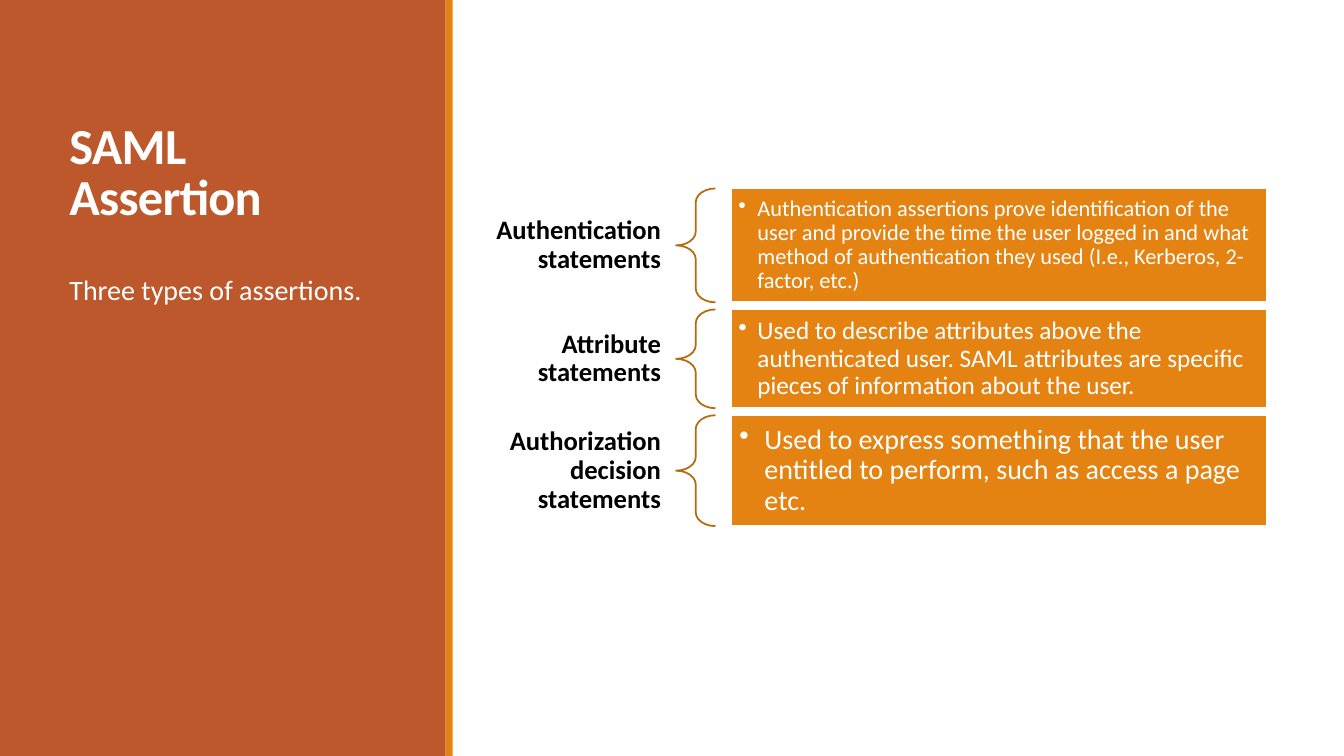
from dataclasses import dataclass

from lxml import etree
from pptx import Presentation
from pptx.dml.color import RGBColor
from pptx.enum.shapes import MSO_SHAPE
from pptx.enum.text import MSO_ANCHOR, PP_ALIGN
from pptx.oxml.ns import qn
from pptx.util import Inches, Pt

RECTANGLE, LEFT_BRACE = MSO_SHAPE.RECTANGLE, MSO_SHAPE.LEFT_BRACE
TOP, MIDDLE = MSO_ANCHOR.TOP, MSO_ANCHOR.MIDDLE
LEFT, RIGHT, JUSTIFY = PP_ALIGN.LEFT, PP_ALIGN.RIGHT, PP_ALIGN.JUSTIFY


@dataclass(frozen=True)
class Theme:
    rust: str = "BD582C"
    orange: str = "E48312"
    brace: str = "B7690E"
    white: str = "FFFFFF"
    black: str = "000000"
    font: str = "Calibri"
    title_size: int = 36
    subtitle_size: int = 20
    label_size: int = 19
    outline: float = 1.25


THEME = Theme()
WIDTH, HEIGHT = 13.33, 7.5
SIDEBAR = (0, 0, 4.49, HEIGHT)
ASSERTIONS = (4.75, 1.87, 7.82, 3.35)
STRIPE_WIDTH = 0.07
ROW_GAP = 0.07
LABEL_SHARE, BRACE_SHARE, DETAIL_SHARE = 0.25, 0.05, 0.68

STATEMENTS = [
    ("Authentication statements",
     "Authentication assertions prove identification of the user and provide "
     "the time the user logged in and what method of authentication they used "
     "(I.e., Kerberos, 2-factor, etc.)", 1.13, 16, 0.07, 0.19),
    ("Attribute statements",
     "Used to describe attributes above the authenticated user. SAML attributes "
     "are specific pieces of information about the user.", 0.98, 18, 0.07, 0.19),
    ("Authorization decision statements",
     "Used to express something that the user entitled to perform, such as "
     "access a page etc.", 1.1, 20, 0.08, 0.25),
]


def add_panel(page, kind, box, fill=None, line=None):
    panel = page.shapes.add_shape(kind, *map(Inches, box))
    panel.shadow.inherit = False
    if fill:
        panel.fill.solid()
        panel.fill.fore_color.rgb = RGBColor.from_string(fill)
    else:
        panel.fill.background()
    if line:
        panel.line.color.rgb = RGBColor.from_string(line)
        panel.line.width = Pt(THEME.outline)
    else:
        panel.line.fill.background()
    return panel


def write(shape, text, size, color, bold=False, align=LEFT, anchor=MIDDLE,
          spacing=1.0, insets=(0.1, 0.05)):
    frame = shape.text_frame
    frame.word_wrap = True
    frame.vertical_anchor = anchor
    frame.margin_left = frame.margin_right = Inches(insets[0])
    frame.margin_top = frame.margin_bottom = Inches(insets[1])
    frame.text = text
    para = frame.paragraphs[0]
    para.alignment = align
    para.line_spacing = spacing
    span = para.runs[0]
    span.font.name = THEME.font
    span.font.size = Pt(size)
    span.font.bold = bold
    span.font.color.rgb = RGBColor.from_string(color)
    return para


def add_text(page, box, *content, **style):
    return write(page.shapes.add_textbox(*map(Inches, box)), *content, **style)


def add_bullet(para, indent):
    properties = para._p.get_or_add_pPr()
    properties.set("marL", str(Inches(indent)))
    properties.set("indent", str(-Inches(indent)))
    etree.SubElement(properties, qn("a:buChar")).set("char", "•")


def add_sidebar(page, box):
    left, top, width, height = box
    stripe_left = left + width - STRIPE_WIDTH
    add_panel(page, RECTANGLE, (left, top, width - STRIPE_WIDTH, height), THEME.rust)
    add_panel(page, RECTANGLE, (stripe_left, top, STRIPE_WIDTH, height), THEME.orange)
    text_left, text_width = left + 0.59, 3.13
    title = add_text(page, (text_left, top + 1.17, text_width, 1.15),
                     "SAML Assertion", THEME.title_size, THEME.white,
                     bold=True, anchor=TOP, spacing=0.85)
    title.runs[0].font._element.set("spc", "-50")
    add_text(page, (text_left, top + 2.65, text_width, 0.44),
             "Three types of assertions.", THEME.subtitle_size, THEME.white,
             align=JUSTIFY, anchor=TOP)


def add_statement(page, box, label, detail, size, inset, indent):
    left, top, width, height = box
    label_width = width * LABEL_SHARE
    detail_width = width * DETAIL_SHARE
    add_text(page, (left, top, label_width, height), label, THEME.label_size,
             THEME.black, bold=True, align=RIGHT, spacing=0.9, insets=(0.15, 0.05))
    brace = add_panel(page, LEFT_BRACE,
                      (left + label_width, top, width * BRACE_SHARE, height),
                      line=THEME.brace)
    brace.adjustments[0] = 0.35
    brace.adjustments[1] = 0.5
    panel = add_panel(page, RECTANGLE,
                      (left + width - detail_width, top, detail_width, height),
                      THEME.orange, THEME.white)
    para = write(panel, detail, size, THEME.white, spacing=0.9, insets=(inset, inset))
    add_bullet(para, indent)


def add_assertions(page, box):
    left, top, width, height = box
    scale = (height - ROW_GAP * (len(STATEMENTS) - 1)) / sum(row[2] for row in STATEMENTS)
    for label, detail, weight, size, inset, indent in STATEMENTS:
        row_height = weight * scale
        add_statement(page, (left, top, width, row_height),
                      label, detail, size, inset, indent)
        top += row_height + ROW_GAP


def main():
    deck = Presentation()
    deck.slide_width, deck.slide_height = Inches(WIDTH), Inches(HEIGHT)
    page = deck.slides.add_slide(deck.slide_layouts[6])
    add_sidebar(page, SIDEBAR)
    add_assertions(page, ASSERTIONS)
    deck.save("out.pptx")


if __name__ == "__main__":
    main()
